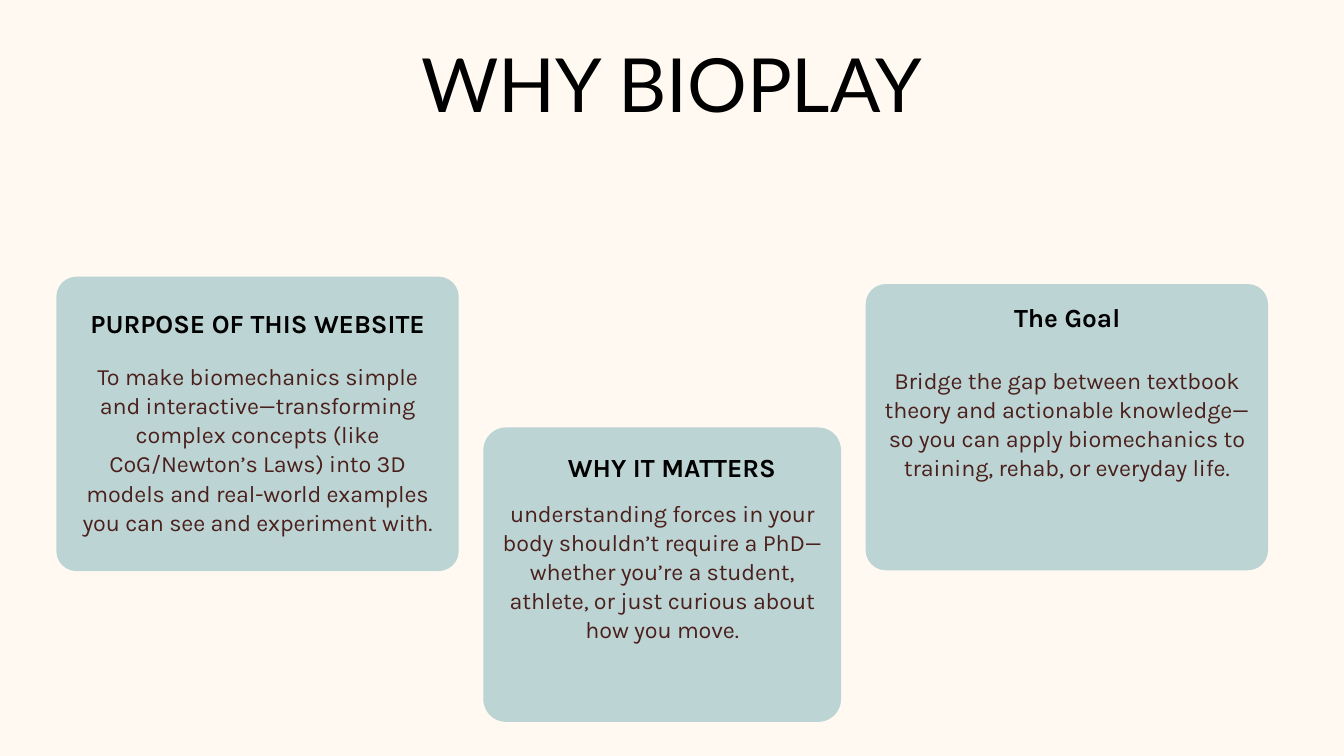
from typing import NamedTuple

from pptx import Presentation
from pptx import util as u
from pptx.dml.color import RGBColor
from pptx.enum import shapes, text

CREAM, TEAL, BROWN, BLACK = "FFF9F2", "BDD4D4", "4A201C", "000000"


class Box(NamedTuple):
    left: float
    top: float
    width: float
    height: float

    def lengths(self) -> list[u.Length]:
        return [u.Cm(v) for v in self]


class Card(NamedTuple):
    box: Box
    radius: float
    body_top: float
    heading_box: Box
    heading_spacing: float
    heading: str
    body: str


CARDS = [
    Card(Box(2.13, 10.46, 15.21, 11.13), 0.76, 2.97,
         Box(2.13, 11.53, 15.21, 1.27), 36.4,
         "PURPOSE OF THIS WEBSITE",
         "To make biomechanics simple and interactive—transforming complex "
         "concepts (like CoG/Newton’s Laws) into 3D models and real-world "
         "examples you can see and experiment with."),
    Card(Box(32.72, 10.74, 15.21, 10.82), 0.76, 2.82,
         Box(38.25, 11.18, 4.17, 1.37), 39.2,
         "The Goal",
         "Bridge the gap between textbook theory and actionable knowledge—so "
         "you can apply biomechanics to training, rehab, or everyday life."),
    Card(Box(18.27, 16.16, 13.52, 11.13), 0.86, 2.41,
         Box(21.13, 16.97, 8.53, 1.27), 36.4,
         "WHY IT MATTERS",
         "understanding forces in your body shouldn’t require a PhD—whether "
         "you’re a student, athlete, or just curious about how you move."),
]


def color(hex_value: str) -> RGBColor:
    return RGBColor.from_string(hex_value)


def write(tf, content: str, font: str, size: float, hex_value: str,
          spacing: float, bold: bool = False, side: float = 0,
          top: float = 0) -> None:
    tf.text = content
    tf.word_wrap = True
    tf.auto_size = text.MSO_AUTO_SIZE.NONE
    tf.vertical_anchor = text.MSO_ANCHOR.TOP
    tf.margin_left = tf.margin_right = u.Cm(side)
    tf.margin_top, tf.margin_bottom = u.Cm(top), u.Cm(0)
    p = tf.paragraphs[0]
    p.alignment = text.PP_ALIGN.CENTER
    p.line_spacing = u.Pt(spacing)
    p.space_before = u.Pt(0)
    r = p.runs[0]
    r.font.name = font
    r.font.size = u.Pt(size)
    r.font.bold = bold
    r.font.color.rgb = color(hex_value)


def add_card(s, card: Card) -> None:
    sp = s.shapes.add_shape(shapes.MSO_SHAPE.ROUNDED_RECTANGLE, *card.box.lengths())
    sp.adjustments[0] = card.radius / min(card.box.width, card.box.height)
    sp.shadow.inherit = False
    sp.fill.solid()
    sp.fill.fore_color.rgb = color(TEAL)
    sp.line.fill.background()
    write(sp.text_frame, card.body, "Karla", 25, BROWN, 31.2,
          side=0.48, top=card.body_top)
    r = sp.text_frame.paragraphs[0].runs[0]
    r._r.get_or_add_rPr().set("spc", "-10")
    heading = s.shapes.add_textbox(*card.heading_box.lengths())
    write(heading.text_frame, card.heading, "Karla", 28, BLACK,
          card.heading_spacing, bold=True)


def add_title(s, content: str, box: Box) -> None:
    title = s.shapes.title
    title.left, title.top, title.width, title.height = box.lengths()
    write(title.text_frame, content, "Lato", 80, BLACK, 100)


def main() -> None:
    prs = Presentation()
    prs.slide_width, prs.slide_height = u.Cm(50.8), u.Cm(28.58)
    s = prs.slides.add_slide(prs.slide_layouts[5])
    s.background.fill.solid()
    s.background.fill.fore_color.rgb = color(CREAM)
    add_title(s, "WHY BIOPLAY", Box(15.72, 1.3, 19.36, 7.06))
    for card in CARDS:
        add_card(s, card)
    prs.save("out.pptx")


if __name__ == "__main__":
    main()
